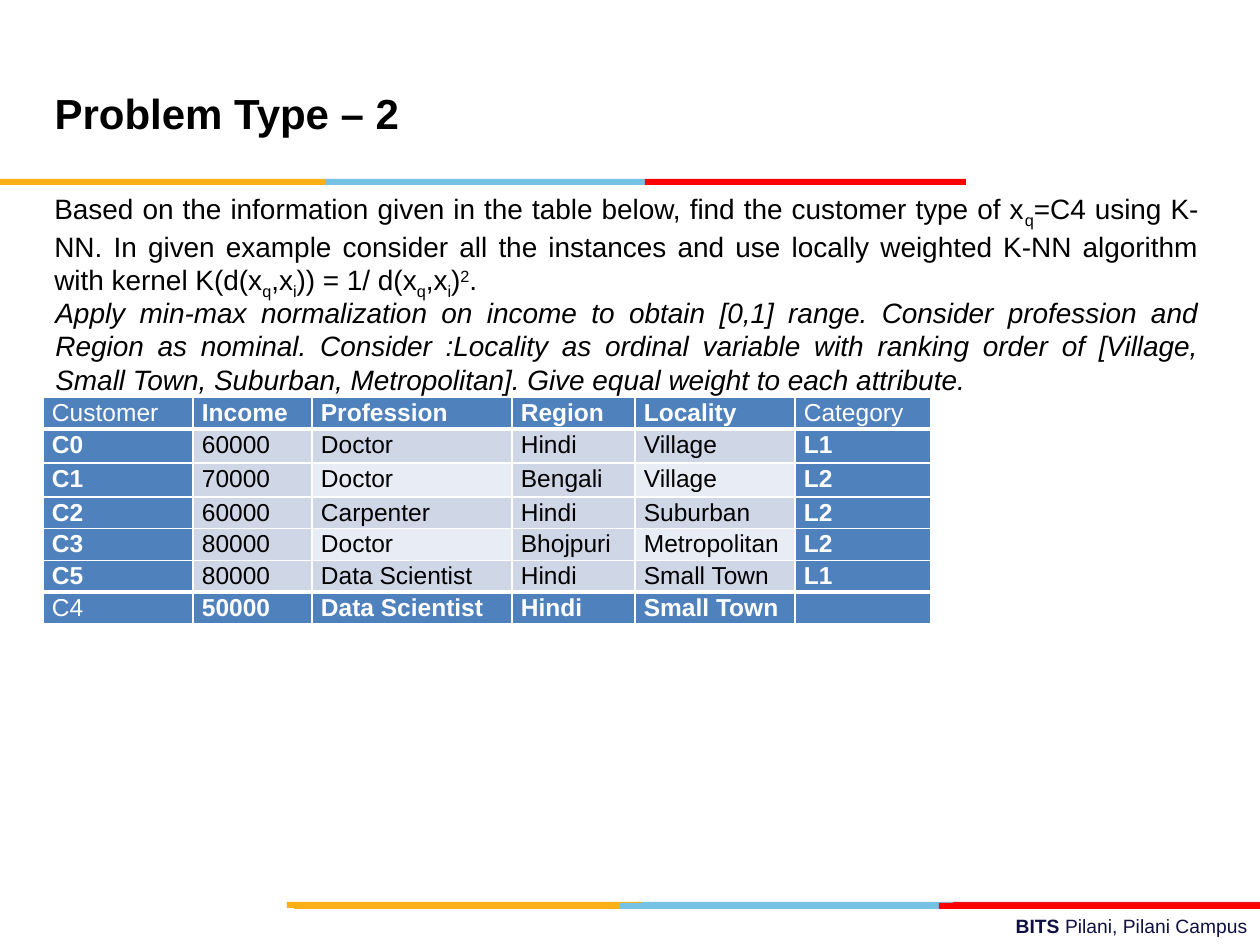
"""Build the K-NN problem slide with its customer table."""
from dataclasses import dataclass

from lxml.etree import SubElement
from pptx import Presentation
from pptx.dml.color import RGBColor
from pptx.enum.shapes import MSO_SHAPE as Shape
from pptx.enum.text import MSO_ANCHOR as Anchor, MSO_AUTO_SIZE as AutoSize, PP_ALIGN as Align
from pptx.oxml.ns import qn
from pptx.util import Pt

EMU_PER_PX = 914400 / 126


@dataclass(frozen=True)
class Theme:
    """Colours, font and type sizes of the slide."""
    font: str = "Arial"
    black: str = "000000"
    white: str = "FFFFFF"
    navy: str = "101141"
    gold: str = "FCB017"
    sky: str = "76C2E5"
    red: str = "FF0000"
    crimson: str = "E31C24"
    accent: str = "4F81BD"
    band_dark: str = "CFD7E7"
    band_light: str = "E8ECF4"
    title_size: int = 24
    body_size: int = 16
    table_size: int = 14
    footer_size: int = 11


def px(length):
    """Turn pixels into EMU."""
    return round(length * EMU_PER_PX)


def add_span(para, text, font, size, color, bold=False, italic=False, baseline=0):
    """Append one formatted span to a paragraph."""
    span = para.add_run()
    span.text = text
    span.font.name = font
    span.font.size = Pt(size)
    span.font.bold = bold
    span.font.italic = italic
    span.font.color.rgb = RGBColor.from_string(color)
    if baseline:
        span.font._element.set("baseline", str(baseline * 1000))


class SlideBuilder:
    """Holds the theme and the current page and adds elements to it."""

    def __init__(self, deck, theme):
        self.theme = theme
        self.page = deck.slides.add_slide(deck.slide_layouts[5])

    def title(self, text, left, top, width, height):
        box = self.page.shapes.title
        box.left, box.top, box.width, box.height = map(px, (left, top, width, height))
        frame = box.text_frame
        frame.auto_size = AutoSize.NONE
        frame.vertical_anchor = Anchor.MIDDLE
        para = frame.paragraphs[0]
        para.alignment = Align.LEFT
        para.line_spacing = 1.5
        theme = self.theme
        add_span(para, text, theme.font, theme.title_size, theme.black, bold=True)

    def text(self, spans, left, top, width, height, size, color, align):
        box = self.page.shapes.add_textbox(*map(px, (left, top, width, height)))
        box.text_frame.word_wrap = True
        para = box.text_frame.paragraphs[0]
        para.alignment = align
        for words, style in spans:
            add_span(para, words, self.theme.font, size, color, **style)

    def stripe(self, top, bars):
        for left, width, color in bars:
            bar = self.page.shapes.add_shape(Shape.RECTANGLE, *map(px, (left, top, width, 6)))
            bar.shadow.inherit = False
            bar.fill.solid()
            bar.fill.fore_color.rgb = RGBColor.from_string(color)
            bar.line.fill.background()

    def border(self, cell, side, points):
        line = SubElement(cell._tc.get_or_add_tcPr(), qn(f"a:ln{side}"), w=str(Pt(points)))
        fill = SubElement(line, qn("a:solidFill"))
        SubElement(fill, qn("a:srgbClr"), val=self.theme.white)

    def cell(self, cell, text, fill, color, bold, top, bottom):
        for side, points in (("L", 1), ("R", 1), ("T", top), ("B", bottom)):
            self.border(cell, side, points)
        cell.fill.solid()
        cell.fill.fore_color.rgb = RGBColor.from_string(fill)
        cell.margin_left = cell.margin_right = px(9)
        cell.margin_top = cell.margin_bottom = 0
        para = cell.text_frame.paragraphs[0]
        para.line_spacing = 1.07
        size = self.theme.table_size
        if text:
            add_span(para, text, self.theme.font, size, color, bold=bold)
        else:
            SubElement(para._p, qn("a:endParaRPr"), sz=str(size * 100))

    def table(self, records, left, top, widths, heights):
        theme = self.theme
        last_row, last_column = len(heights) - 1, len(widths) - 1
        area = map(px, (left, top, sum(widths), sum(heights)))
        table = self.page.shapes.add_table(len(heights), len(widths), *area).table
        table.first_row = table.horz_banding = False
        for column, width in zip(table.columns, widths):
            column.width = px(width)
        for row, height in zip(table.rows, heights):
            row.height = px(height)
        for r, record in enumerate(records):
            for c, text in enumerate(record):
                outer_row = r in (0, last_row)
                outer_column = c in (0, last_column)
                edge = outer_row or outer_column
                light = r % 2 == 0 and c % 2 == 0
                band = theme.band_light if light else theme.band_dark
                self.cell(
                    table.cell(r, c), text,
                    fill=theme.accent if edge else band,
                    color=theme.white if edge else theme.black,
                    bold=outer_row != outer_column,
                    top=3 if r in (1, last_row) else 1,
                    bottom=3 if r in (0, last_row - 1) else 1,
                )


def main():
    """Build and save the deck."""
    deck = Presentation()
    deck.slide_width, deck.slide_height = px(1260), px(945)
    theme = Theme()
    slide = SlideBuilder(deck, theme)
    plain, bold, italic = {}, {"bold": True}, {"italic": True}
    sub, sup = {"baseline": -25}, {"baseline": 30}

    slide.text([("BITS ", bold), ("Pilani, Pilani Campus", plain)],
               451, 908, 809, 37, theme.footer_size, theme.navy, Align.RIGHT)
    slide.stripe(902, [(638, 321, theme.sky), (953, 307, theme.crimson), (287, 355, theme.gold)])
    slide.stripe(903, [(620, 321, theme.sky), (294, 326, theme.gold), (939, 321, theme.red)])
    slide.stripe(179, [(325, 321, theme.sky), (0, 325, theme.gold), (645, 321, theme.red)])

    slide.table(
        [
            ("Customer", "Income", "Profession", "Region", "Locality", "Category"),
            ("C0", "60000", "Doctor", "Hindi", "Village", "L1"),
            ("C1", "70000", "Doctor", "Bengali", "Village", "L2"),
            ("C2", "60000", "Carpenter", "Hindi", "Suburban", "L2"),
            ("C3", "80000", "Doctor", "Bhojpuri", "Metropolitan", "L2"),
            ("C5", "80000", "Data Scientist", "Hindi", "Small Town", "L1"),
            ("C4", "50000", "Data Scientist", "Hindi", "Small Town", ""),
        ],
        43, 397, (150, 119, 200, 123, 160, 136), (32, 34, 34, 31, 32, 31, 31))

    slide.title("Problem Type – 2", 42, 21, 872, 158)
    slide.text(
        [
            ("Based on the information given in the table below, "
             "find the customer type of x", plain),
            ("q", sub),
            ("=C4 using K-NN. In given example consider all the instances and use "
             "locally weighted K-NN algorithm with kernel K(d(x", plain),
            ("q", sub), (",x", plain), ("i", sub), (")) = 1/ d(x", plain),
            ("q", sub), (",x", plain), ("i", sub), (")", plain), ("2", sup), (". ", plain),
        ],
        42, 185, 1169, 120, theme.body_size, theme.black, Align.JUSTIFY)
    slide.text(
        [("Apply min-max normalization on income to obtain [0,1] range. Consider profession "
          "and Region as nominal. Consider :Locality as ordinal variable with ranking order of "
          "[Village, Small Town, Suburban, Metropolitan]. Give equal weight to each attribute.",
          italic)],
        43, 289, 1168, 115, theme.body_size, theme.black, Align.JUSTIFY)
    deck.save("out.pptx")


if __name__ == "__main__":
    main()
